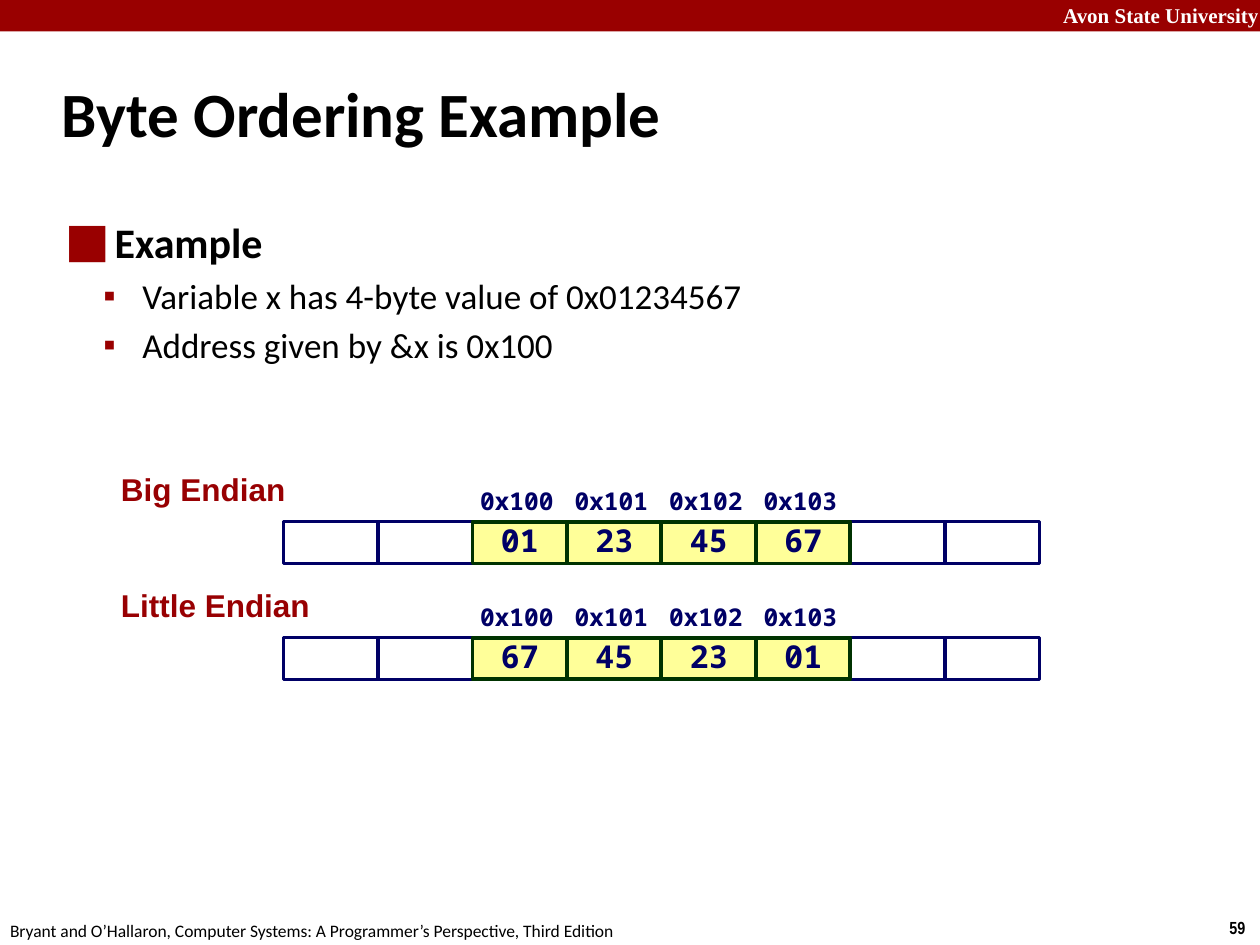
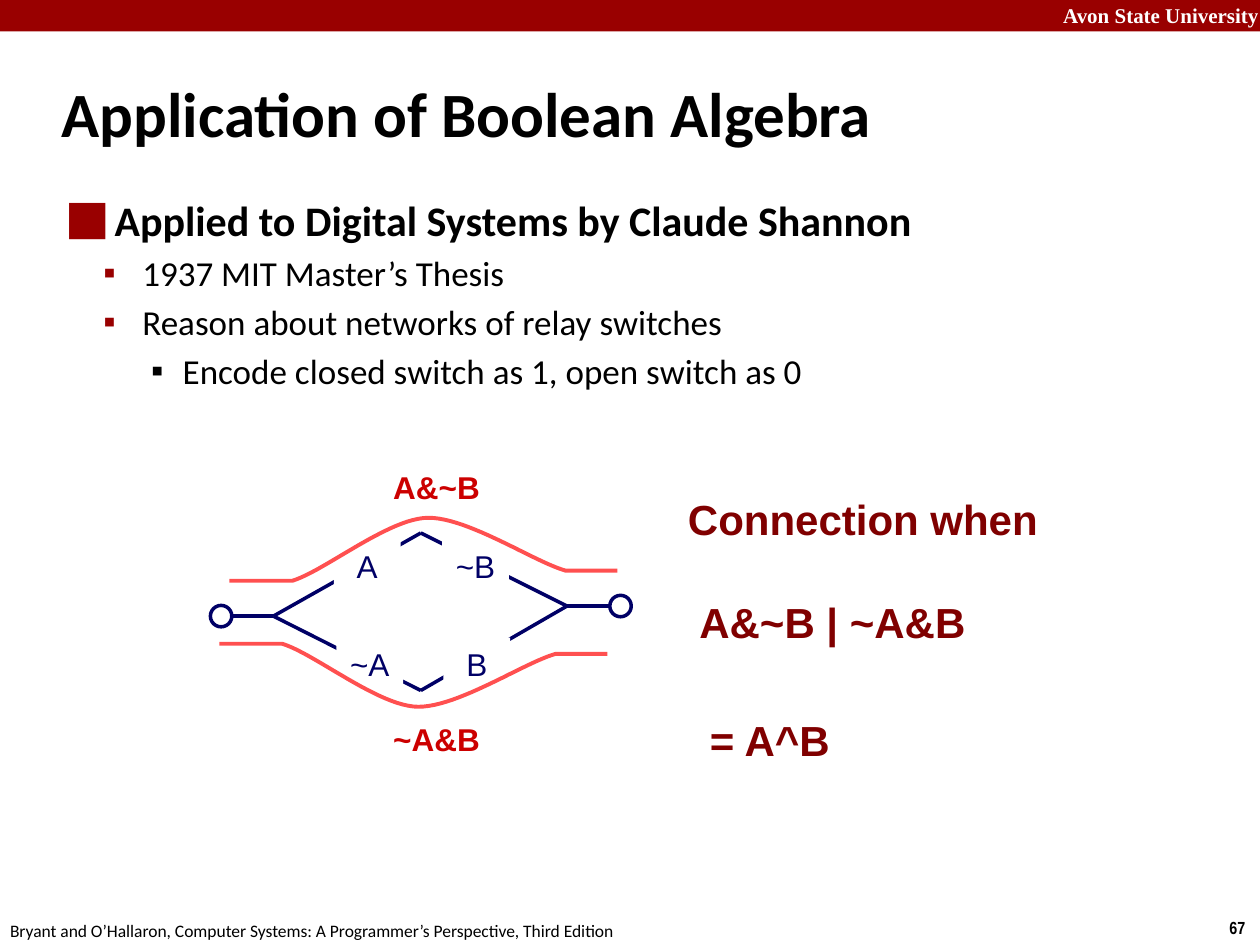
import pptx
import pptx.dml.color
import pptx.enum.shapes
import pptx.enum.text
import pptx.oxml.ns
import pptx.util
from lxml import etree

COLUMNS, ROWS = 40, 30
RED, NAVY, MAROON, BLACK, WHITE = "990000", "000066", "800000", "000000", "FFFFFF"
LABEL_RED, PATH_RED, FORMULA_RED = "980002", "FF5050", "CC0000"
BYTE_FILL, BYTE_LINE = "FFFF99", "003300"

SHAPES = pptx.enum.shapes.MSO_SHAPE
ANCHORS = pptx.enum.text.MSO_ANCHOR
ALIGNMENTS = pptx.enum.text.PP_ALIGN

# Level: bullet, bullet colour, text start, hanging indent, size, bold, space before
LIST_LEVELS = [
    ("⬛", RED, 0.38, 0.38, 24, True, 0),
    ("▪", RED, 0.6, 0.31, 20, False, 4),
    ("▪", BLACK, 0.92, 0.25, 20, False, 4),
]


def colour(hex_string):
    return pptx.dml.color.RGBColor.from_string(hex_string)


def set_indent(paragraph, left, hanging=0):
    properties = paragraph._p.get_or_add_pPr()
    properties.set("marL", str(pptx.util.Inches(left)))
    properties.set("indent", str(-pptx.util.Inches(hanging)))


def set_bullet(paragraph, character, hex_string):
    properties = paragraph._p.get_or_add_pPr()
    name = pptx.oxml.ns.qn
    bullet_colour = etree.SubElement(properties, name("a:buClr"))
    etree.SubElement(bullet_colour, name("a:srgbClr"), val=hex_string)
    etree.SubElement(properties, name("a:buChar"), char=character)


def bezier(start, control_1, control_2, end, steps=24):
    """Points along a cubic curve, without its start."""
    points = []
    for step in range(1, steps + 1):
        t = step / steps
        weights = ((1 - t) ** 3, 3 * t * (1 - t) ** 2, 3 * t**2 * (1 - t), t**3)
        corners = (start, control_1, control_2, end)
        points.append(tuple(sum(w * corner[axis] for w, corner in zip(weights, corners))
                            for axis in (0, 1)))
    return points


class Deck:
    """Shared style and the current slide; places are grid columns and rows."""

    def __init__(self):
        self.presentation = pptx.Presentation()
        self.presentation.slide_width = pptx.util.Inches(10)
        self.presentation.slide_height = pptx.util.Inches(7.5)
        self.slide = None

    def x(self, columns):
        return round(self.presentation.slide_width * columns / COLUMNS)

    def y(self, rows):
        return round(self.presentation.slide_height * rows / ROWS)

    def box(self, column, row, width, height):
        return self.x(column), self.y(row), self.x(width), self.y(height)

    def style_font(self, paragraph, size, font, hex_string, bold):
        paragraph.font.size = pptx.util.Pt(size)
        paragraph.font.name = font
        paragraph.font.bold = bold
        paragraph.font.color.rgb = colour(hex_string)

    def set_text(self, shape, lines, size, font, hex_string, bold=True, centred=False,
                 anchor=ANCHORS.TOP, inset=(0.06, 0.06), line_spacing=1.0):
        frame = shape.text_frame
        frame.word_wrap = True
        frame.vertical_anchor = anchor
        frame.margin_left = pptx.util.Inches(0 if centred else inset[0])
        frame.margin_top = pptx.util.Inches(inset[1])
        frame.margin_right = 0
        frame.margin_bottom = pptx.util.Inches(inset[1])
        frame.text = lines
        for paragraph in frame.paragraphs:
            paragraph.alignment = ALIGNMENTS.CENTER if centred else ALIGNMENTS.LEFT
            paragraph.line_spacing = line_spacing
            self.style_font(paragraph, size, font, hex_string, bold)

    def text(self, place, lines, size, font, hex_string, **options):
        shape = self.slide.shapes.add_textbox(*self.box(*place))
        self.set_text(shape, lines, size, font, hex_string, **options)
        return shape

    def outline(self, shape, line, width):
        if line:
            shape.line.color.rgb = colour(line)
            shape.line.width = pptx.util.Pt(width)
        else:
            shape.line.fill.background()

    def shape(self, kind, place, fill, line=None, width=2):
        shape = self.slide.shapes.add_shape(kind, *self.box(*place))
        shape.shadow.inherit = False
        shape.fill.solid()
        shape.fill.fore_color.rgb = colour(fill)
        self.outline(shape, line, width)
        return shape

    def wire(self, start, end):
        connector = self.slide.shapes.add_connector(
            pptx.enum.shapes.MSO_CONNECTOR.STRAIGHT,
            self.x(start[0]), self.y(start[1]), self.x(end[0]), self.y(end[1]))
        self.outline(connector, NAVY, 2)
        etree.SubElement(connector._element.spPr, pptx.oxml.ns.qn("a:effectLst"))

    def curve(self, points, line, width):
        corners = [(self.x(column), self.y(row)) for column, row in points]
        builder = self.slide.shapes.build_freeform(*corners[0])
        builder.add_line_segments(corners[1:], close=False)
        shape = builder.convert_to_shape()
        shape.shadow.inherit = False
        shape.fill.background()
        self.outline(shape, line, width)

    def place_placeholder(self, placeholder, place):
        placeholder.left, placeholder.top, placeholder.width, placeholder.height = self.box(*place)
        placeholder.text_frame.auto_size = pptx.enum.text.MSO_AUTO_SIZE.NONE

    def bullets(self, row, items):
        body = self.slide.placeholders[1]
        self.place_placeholder(body, (1.72, row, 34.56, 27.72 - row))
        body.text_frame.text = "\n".join(line for _, line in items)
        for paragraph, (level, _) in zip(body.text_frame.paragraphs, items):
            bullet, bullet_colour, left, hanging, size, bold, before = LIST_LEVELS[level]
            paragraph.level = level
            paragraph.space_before = pptx.util.Pt(before)
            set_indent(paragraph, left, hanging)
            set_bullet(paragraph, bullet, bullet_colour)
            self.style_font(paragraph, size, "Calibri", BLACK, bold)

    def new_slide(self, title, number):
        self.slide = self.presentation.slides.add_slide(self.presentation.slide_layouts[1])
        # Header band and footer
        self.shape(SHAPES.RECTANGLE, (0, 0, COLUMNS, 1), RED)
        self.text((33.36, 0, 6.64, 1), "Avon State University", 12, "Times New Roman",
                  WHITE, inset=(0.1, 0.02))
        self.text((38.64, 28.92, 1.36, 1.08), str(number), 10, "Arial Narrow", BLACK,
                  inset=(0.1, 0.05))
        self.text((0, 29, 20.4, 1),
                  "Bryant and O’Hallaron, Computer Systems: A Programmer’s Perspective, Third Edition",
                  10, "Calibri", BLACK, bold=False, inset=(0.08, 0.05))
        # Title
        heading = self.slide.shapes.title
        self.place_placeholder(heading, (1.56, 1.92, 33.2, 3.32))
        self.set_text(heading, title, 36, "Calibri", BLACK, anchor=ANCHORS.MIDDLE,
                      inset=(0.1, 0.05))


def memory_row(deck, row, label, values):
    """Eight memory cells; the middle four hold the bytes of x."""
    first_column, width, height, first_byte = 9, 3, 1.33, 2
    mono = "Noto Sans Mono"
    deck.text((3.68, row, 7.84, 1.44), label, 18, "Arial", LABEL_RED,
              inset=(0.04, 0.03), line_spacing=0.95)
    columns = [first_column + width * index for index in range(8)]
    byte_columns = columns[first_byte:first_byte + len(values)]
    cell_row = row + 1.68
    for column in columns:
        if column not in byte_columns:
            deck.shape(SHAPES.RECTANGLE, (column, cell_row, width, height), WHITE, NAVY)
    for offset, (column, value) in enumerate(zip(byte_columns, values)):
        address = deck.shape(SHAPES.RECTANGLE, (column, row + 0.35, width, height), WHITE)
        deck.set_text(address, f"0x{0x100 + offset:x}", 14, mono, NAVY, anchor=ANCHORS.MIDDLE)
        cell = deck.shape(SHAPES.RECTANGLE, (column, cell_row, width, height),
                          BYTE_FILL, BYTE_LINE, 2.25)
        deck.set_text(cell, value, 18, mono, NAVY, centred=True, anchor=ANCHORS.MIDDLE,
                      inset=(0, 0), line_spacing=0.9)


def byte_ordering_slide(deck):
    deck.new_slide("Byte Ordering Example", 59)
    deck.bullets(6.68, [
        (0, "Example"),
        (1, "Variable x has 4-byte value of 0x01234567"),
        (1, "Address given by &x is 0x100"),
    ])
    value_bytes = ["01", "23", "45", "67"]
    memory_row(deck, 14.88, "Big Endian", value_bytes)
    memory_row(deck, 18.56, "Little Endian", value_bytes[::-1])


def boolean_algebra_slide(deck):
    deck.new_slide("Application of Boolean Algebra", 67)
    deck.bullets(5.96, [
        (0, "Applied to Digital Systems by Claude Shannon"),
        (1, "1937 MIT Master’s Thesis"),
        (1, "Reason about networks of relay switches"),
        (2, "Encode closed switch as 1, open switch as 0"),
    ])

    # Relay network: wires, switches and terminals
    left, right = (8.68, 19.56), (18, 19.24)
    for middle in ((13.36, 16.92), (13.36, 21.92)):
        deck.wire(left, middle)
        deck.wire(middle, right)
    for name, column, row in (("A", 10.6, 17.12), ("~A", 10.68, 20.24),
                              ("~B", 14.04, 17.12), ("B", 14.08, 20.24)):
        switch = deck.shape(SHAPES.RECTANGLE, (column, row, 2.12, 1.68), WHITE)
        deck.set_text(switch, name, 18, "Arial", NAVY, bold=False, centred=True)
    deck.wire(right, (19.36, 19.24))
    deck.wire((7.36, 19.56), left)
    for column, row in ((6.68, 19.22), (19.36, 18.9)):
        deck.shape(SHAPES.OVAL, (column, row, 0.68, 0.68), WHITE, NAVY)

    # Current paths: the lower one mirrors the upper one
    rise, peak, fall = (9.28, 18.44), (13.6, 16.44), (17.96, 18.12)
    upper_path = [(7.28, 18.44), rise,
                  *bezier(rise, (10.32, 18.12), (12.36, 16.44), peak),
                  *bezier(peak, (14.88, 16.44), (16.96, 17.84), fall),
                  (19.6, 18.12)]
    lower_path = [(column - 0.32, 38.88 - row) for column, row in upper_path]
    for points, formula, row in ((upper_path, "A&~B", 14.76), (lower_path, "~A&B", 22.76)):
        deck.curve(points, PATH_RED, 2.25)
        deck.text((12.24, row, 3.24, 1.68), formula, 18, "Arial", FORMULA_RED,
                  centred=True, line_spacing=0.9)

    # Condition for a connection
    condition = deck.text((21.6, 15.44, 11.8, 6), "Connection when\nA&~B | ~A&B",
                          24, "Arial", MAROON)
    expression = condition.text_frame.paragraphs[1]
    expression.space_before = pptx.util.Pt(30)
    set_indent(expression, 0.09)
    deck.text((22.28, 22.44, 4.32, 2.04), "= A^B", 24, "Arial", MAROON, centred=True)


def main():
    deck = Deck()
    byte_ordering_slide(deck)
    boolean_algebra_slide(deck)
    deck.presentation.save("out.pptx")


if __name__ == "__main__":
    main()
